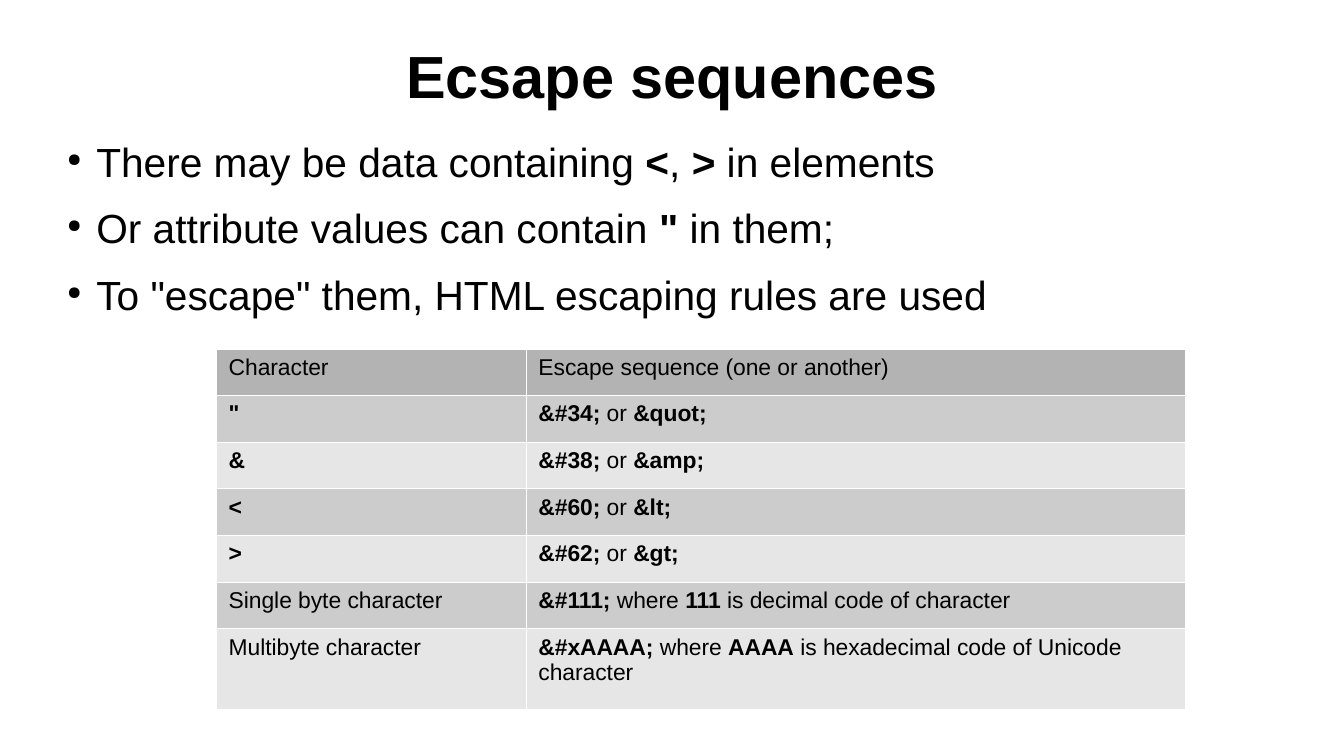
"""Build the slide on escape sequences."""
from lxml.etree import SubElement
from pptx import Presentation
from pptx.dml.color import RGBColor as RGB
from pptx.enum.text import MSO_ANCHOR as Anchor, PP_ALIGN as Align
from pptx.oxml.ns import qn
from pptx.util import Pt

BULLETS = [
    "There may be data containing **<**, **>** in elements",
    "Or attribute values can contain **\" **in them;",
    "To \"escape\" them, HTML escaping rules are used",
]
ESCAPES = [
    ("Character", "Escape sequence (one or another)"),
    ("**\"**", "**&#34;** or **&quot;**"),
    ("**&**", "**&#38;** or **&amp;**"),
    ("**<**", "**&#60;** or **&lt;**"),
    ("**>**", "**&#62;** or **&gt;**"),
    ("Single byte character", "**&#111;** where **111** is decimal code of character"),
    ("Multibyte character", "**&#xAAAA;** where **AAAA** is hexadecimal code of Unicode character"),
]


def color(value):
    return RGB.from_string(value)


class Deck:
    font = "Arial"
    ink = "000000"
    header = "B3B3B3"
    bands = ("CCCCCC", "E6E6E6")
    border = "FFFFFF"

    def __init__(self, width, height):
        self.prs = Presentation()
        self.prs.slide_width, self.prs.slide_height = Pt(width), Pt(height)
        self.s = self.prs.slides.add_slide(self.prs.slide_layouts[6])

    def apply(self, obj, formats):
        for name, value in formats.items():
            setattr(obj, name, value)

    def add_runs(self, p, text, size, bold=False):
        for i, part in enumerate(text.split("**")):
            if part:
                r = p.add_run()
                r.text = part
                self.apply(r.font, {"name": self.font, "size": Pt(size), "bold": bold or i % 2 == 1})
                r.font.color.rgb = color(self.ink)

    def box(self, left, top, width, height, anchor):
        tf = self.s.shapes.add_textbox(Pt(left), Pt(top), Pt(width), Pt(height)).text_frame
        self.apply(tf, {"word_wrap": True, "vertical_anchor": anchor, "margin_left": 0,
                        "margin_top": 0, "margin_right": 0, "margin_bottom": 0})
        return tf

    def title(self, text, *place):
        p = self.box(*place, Anchor.MIDDLE).paragraphs[0]
        p.alignment = Align.CENTER
        self.add_runs(p, text, 35.1, bold=True)

    def bullets(self, lines, *place):
        tf = self.box(*place, Anchor.TOP)
        for i, line in enumerate(lines):
            p = tf.add_paragraph() if i else tf.paragraphs[0]
            pPr = p._p.get_or_add_pPr()
            pPr.set("marL", str(Pt(17.3)))
            pPr.set("indent", str(Pt(-17.3)))
            clr = SubElement(pPr, qn("a:buClr"))
            SubElement(clr, qn("a:srgbClr"), val=self.ink)
            SubElement(pPr, qn("a:buSzPct"), val="45000")
            SubElement(pPr, qn("a:buChar"), char="●")
            p.space_after = Pt(10.6)
            self.add_runs(p, line, 24)

    def cell(self, cell, text, fill):
        self.apply(cell, {"margin_left": Pt(7.2), "margin_right": Pt(7.2),
                          "margin_top": Pt(3.6), "margin_bottom": Pt(3.6)})
        self.add_runs(cell.text_frame.paragraphs[0], text, 13.5)
        tcPr = cell._tc.get_or_add_tcPr()
        for side in ("lnL", "lnR", "lnT", "lnB"):
            ln = SubElement(tcPr, qn(f"a:{side}"), w=str(Pt(0.06)))
            SubElement(SubElement(ln, qn("a:solidFill")), qn("a:srgbClr"), val=self.border)
        cell.fill.solid()
        cell.fill.fore_color.rgb = color(fill)

    def table(self, rows, left, top, widths, heights):
        frame = self.s.shapes.add_table(len(rows), len(widths), Pt(left), Pt(top),
                                        Pt(sum(widths)), Pt(sum(heights)))
        table = frame.table
        for column, width in zip(table.columns, widths):
            column.width = Pt(width)
        for i, (row, height) in enumerate(zip(rows, heights)):
            table.rows[i].height = Pt(height)
            fill = self.bands[(i - 1) % 2] if i else self.header
            for j, text in enumerate(row):
                self.cell(table.cell(i, j), text, fill)


def main():
    deck = Deck(793.44, 446.4)
    deck.title("Ecsape sequences", 39.6, 18, 714.24, 52.56)
    deck.bullets(BULLETS, 39.6, 80.64, 720, 127.44)
    deck.table(ESCAPES, 127.8, 205.92, (182.88, 388.8), [27.55] * 6 + [47.8])
    deck.prs.save("out.pptx")


if __name__ == "__main__":
    main()
